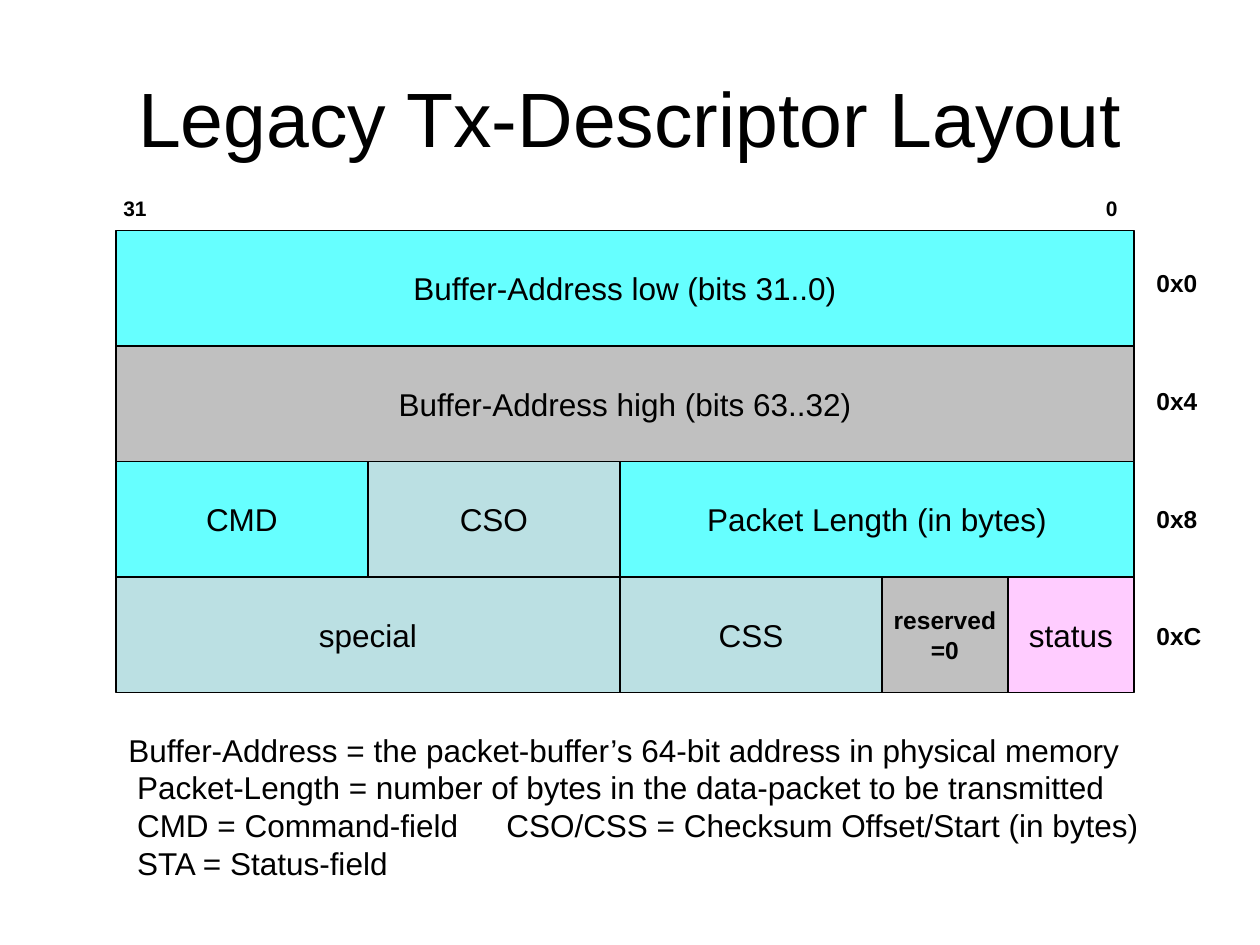
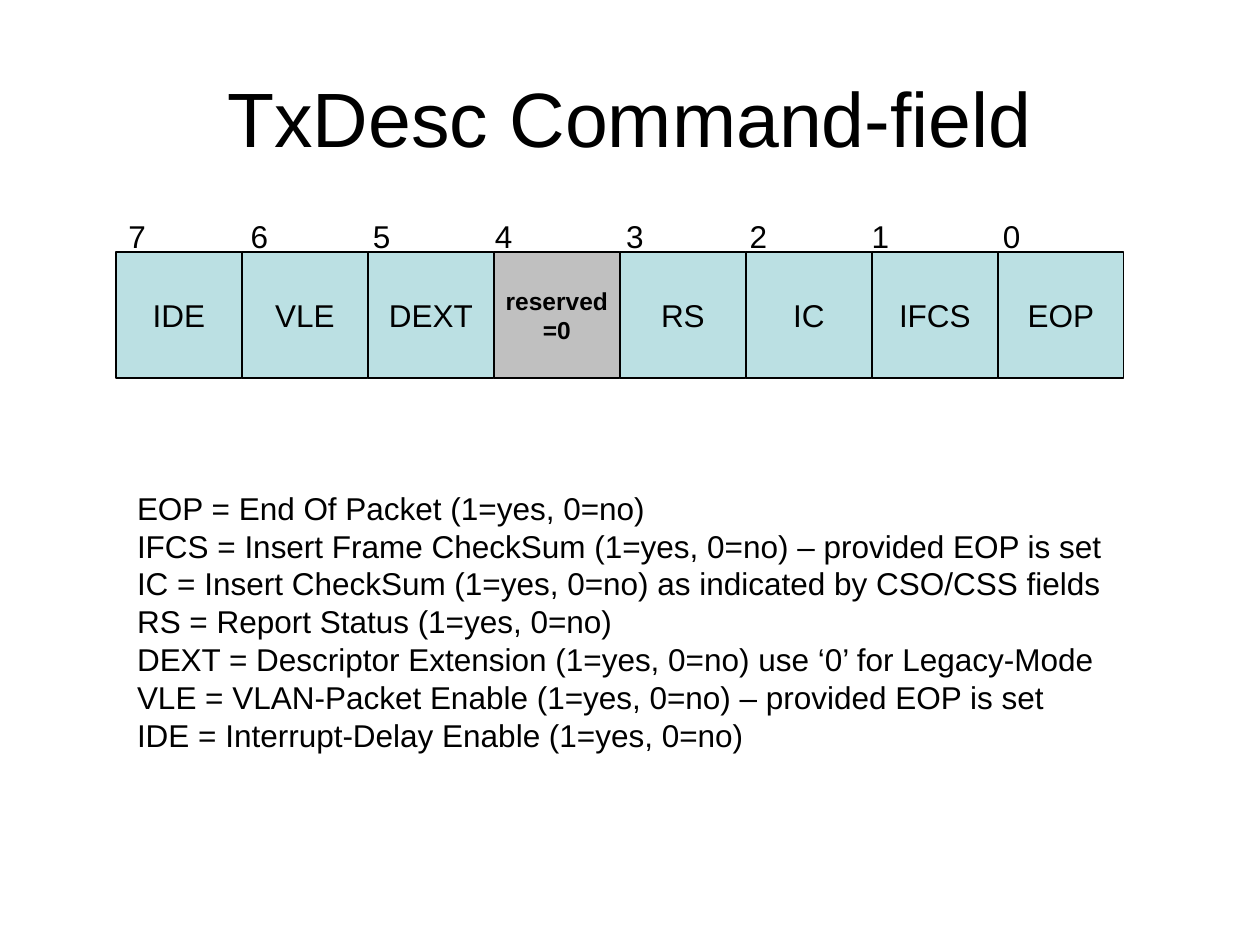
from pptx import Presentation
from pptx.dml.color import RGBColor
from pptx.enum.shapes import MSO_SHAPE
from pptx.enum.text import MSO_ANCHOR, PP_ALIGN
from pptx.oxml.ns import qn
from pptx.util import Inches, Pt
from lxml import etree

RECT = MSO_SHAPE.RECTANGLE
MIDDLE, TOP = MSO_ANCHOR.MIDDLE, MSO_ANCHOR.TOP
CENTER, LEFT = PP_ALIGN.CENTER, PP_ALIGN.LEFT

BLACK = RGBColor(0x00, 0x00, 0x00)
CYAN = RGBColor(0x66, 0xFF, 0xFF)
GRAY = RGBColor(0xC0, 0xC0, 0xC0)
PALE = RGBColor(0xBB, 0xE0, 0xE3)
PINK = RGBColor(0xFF, 0xCC, 0xFF)

FIELD_X = 0.92
TITLE_BOX = (0.5, 0.3, 9, 1.25)
BODY = {"size": Pt(18), "bold": False}
SMALL = {"size": Pt(14), "bold": True}
TINY = {"size": Pt(12), "bold": True}
HEADING = {"size": Pt(44), "bold": False}
LINE_FACTOR = 1.2
RESERVED = "reserved\n=0"

# Each row lists its fields as (label, width, fill)
DESCRIPTOR_ROWS = [
    [("Buffer-Address low (bits 31..0)", 8.08, CYAN)],
    [("Buffer-Address high (bits 63..32)", 8.08, GRAY)],
    [("CMD", 2, CYAN), ("CSO", 2, PALE),
     ("Packet Length (in bytes)", 4.08, CYAN)],
    [("special", 4, PALE), ("CSS", 2.08, PALE), (RESERVED, 1, GRAY),
     ("status", 1, PINK)],
]
DESCRIPTOR_TOP, DESCRIPTOR_ROW_H = 1.83, 2.75 / 3
OFFSETS = ["0x0", "0x4", "0x8", "0xC"]
OFFSET_GAP = Pt(50.4)
DESCRIPTOR_LEGEND = [
    "Buffer-Address = the packet-buffer’s 64-bit address in physical memory",
    " Packet-Length = number of bytes in the data-packet to be transmitted",
    " CMD = Command-field \tCSO/CSS = Checksum Offset/Start (in bytes)",
    " STA = Status-field",
]

COMMAND_BITS = ["IDE", "VLE", "DEXT", RESERVED, "RS", "IC", "IFCS", "EOP"]
COMMAND_ROW = [(bit, 1, GRAY if bit == RESERVED else PALE)
               for bit in COMMAND_BITS]
BIT_NUMBERS = "\t".join(str(n) for n in reversed(range(8)))
BIT_STOPS = [(x, "l") for x in (0.97, 1.94, 2.91, 3.95, 4.93, 5.9, 6.94)]
COMMAND_LEGEND = [
    " EOP = End Of Packet (1=yes, 0=no)",
    " IFCS = Insert Frame CheckSum (1=yes, 0=no) – provided EOP is set",
    " IC = Insert CheckSum (1=yes, 0=no) as indicated by CSO/CSS fields",
    " RS = Report Status (1=yes, 0=no)",
    " DEXT = Descriptor Extension (1=yes, 0=no) use ‘0’ for Legacy-Mode",
    " VLE = VLAN-Packet Enable (1=yes, 0=no) – provided EOP is set",
    " IDE = Interrupt-Delay Enable (1=yes, 0=no)",
]


def write(tf, lines, style, align=LEFT, anchor=TOP, wrap=False):
    tf.word_wrap = wrap
    tf.vertical_anchor = anchor
    for i, line in enumerate(lines):
        p = tf.add_paragraph() if i else tf.paragraphs[0]
        p.alignment = align
        p.line_spacing = Pt(style["size"].pt * LINE_FACTOR)
        r = p.add_run()
        r.text = line
        r.font.name = "Arial"
        r.font.color.rgb = BLACK
        for name, value in style.items():
            setattr(r.font, name, value)


def add_text(s, box, lines, style, wrap=False):
    tf = s.shapes.add_textbox(*map(Inches, box)).text_frame
    write(tf, lines, style, wrap=wrap)
    return tf


def add_ruler(s, box, text, style, stops):
    """Add bit numbers on one line, placed by (inches, alignment) tab stops."""
    tf = add_text(s, box, [text], style, wrap=True)
    tabs = etree.SubElement(tf.paragraphs[0]._p.get_or_add_pPr(), qn("a:tabLst"))
    for x, align in stops:
        etree.SubElement(tabs, qn("a:tab"), pos=str(Inches(x)), algn=align)


def add_fields(s, fields, top, height):
    x = FIELD_X
    for label, width, fill in fields:
        sp = s.shapes.add_shape(RECT, *map(Inches, (x, top, width, height)))
        sp.shadow.inherit = False
        sp.fill.solid()
        sp.fill.fore_color.rgb = fill
        sp.line.color.rgb = BLACK
        sp.line.width = Pt(0.75)
        style = SMALL if label == RESERVED else BODY
        write(sp.text_frame, label.split("\n"), style, CENTER, MIDDLE)
        x += width


def add_slide(prs, title):
    s = prs.slides.add_slide(prs.slide_layouts[5])
    sp = s.shapes.title
    sp.left, sp.top, sp.width, sp.height = map(Inches, TITLE_BOX)
    write(sp.text_frame, [title], HEADING, CENTER, MIDDLE, wrap=True)
    return s


def build_descriptor(prs):
    s = add_slide(prs, "Legacy Tx-Descriptor Layout")
    for i, fields in enumerate(DESCRIPTOR_ROWS):
        top = DESCRIPTOR_TOP + i * DESCRIPTOR_ROW_H
        add_fields(s, fields, top, DESCRIPTOR_ROW_H)
    add_ruler(s, (0.88, 1.5, 8.12, 0.3), "31\t0", TINY, [(7.89, "r")])
    tf = add_text(s, (9.08, DESCRIPTOR_TOP, 0.56, 3.6), OFFSETS, SMALL)
    tf.margin_top = Inches(0.3)
    for p in tf.paragraphs[:-1]:
        p.space_after = OFFSET_GAP
    add_text(s, (FIELD_X, 5.75, 8.22, 1.3), DESCRIPTOR_LEGEND, BODY)


def build_command(prs):
    s = add_slide(prs, "TxDesc Command-field")
    add_fields(s, COMMAND_ROW, 2, 1)
    add_ruler(s, (FIELD_X, 1.67, 8.05, 0.4), BIT_NUMBERS, BODY, BIT_STOPS)
    add_text(s, (FIELD_X, 3.83, 7.93, 2.5), COMMAND_LEGEND, BODY)


def main():
    prs = Presentation()
    prs.slide_width, prs.slide_height = Inches(10), Inches(7.5)
    build_descriptor(prs)
    build_command(prs)
    prs.save("out.pptx")


if __name__ == "__main__":
    main()
